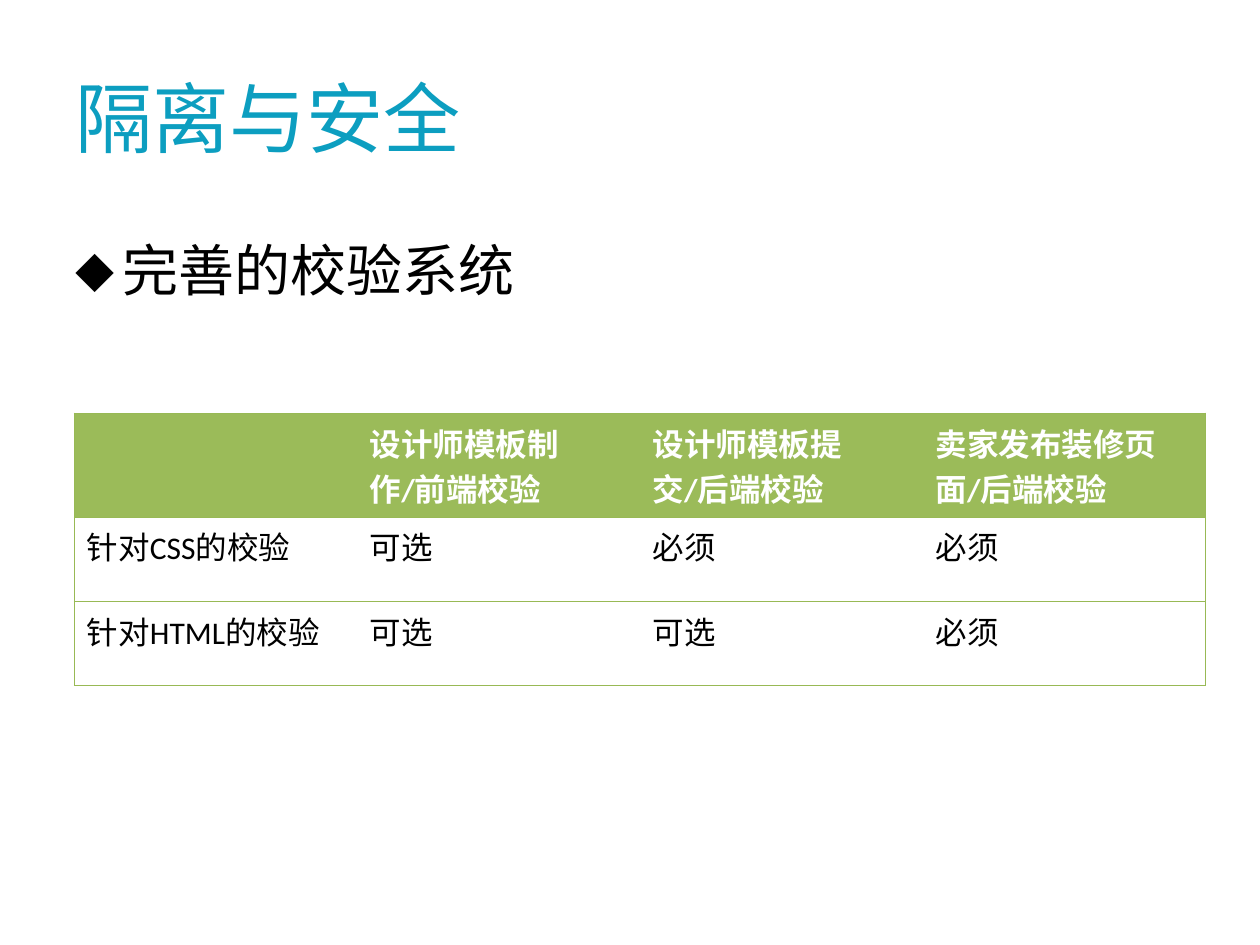
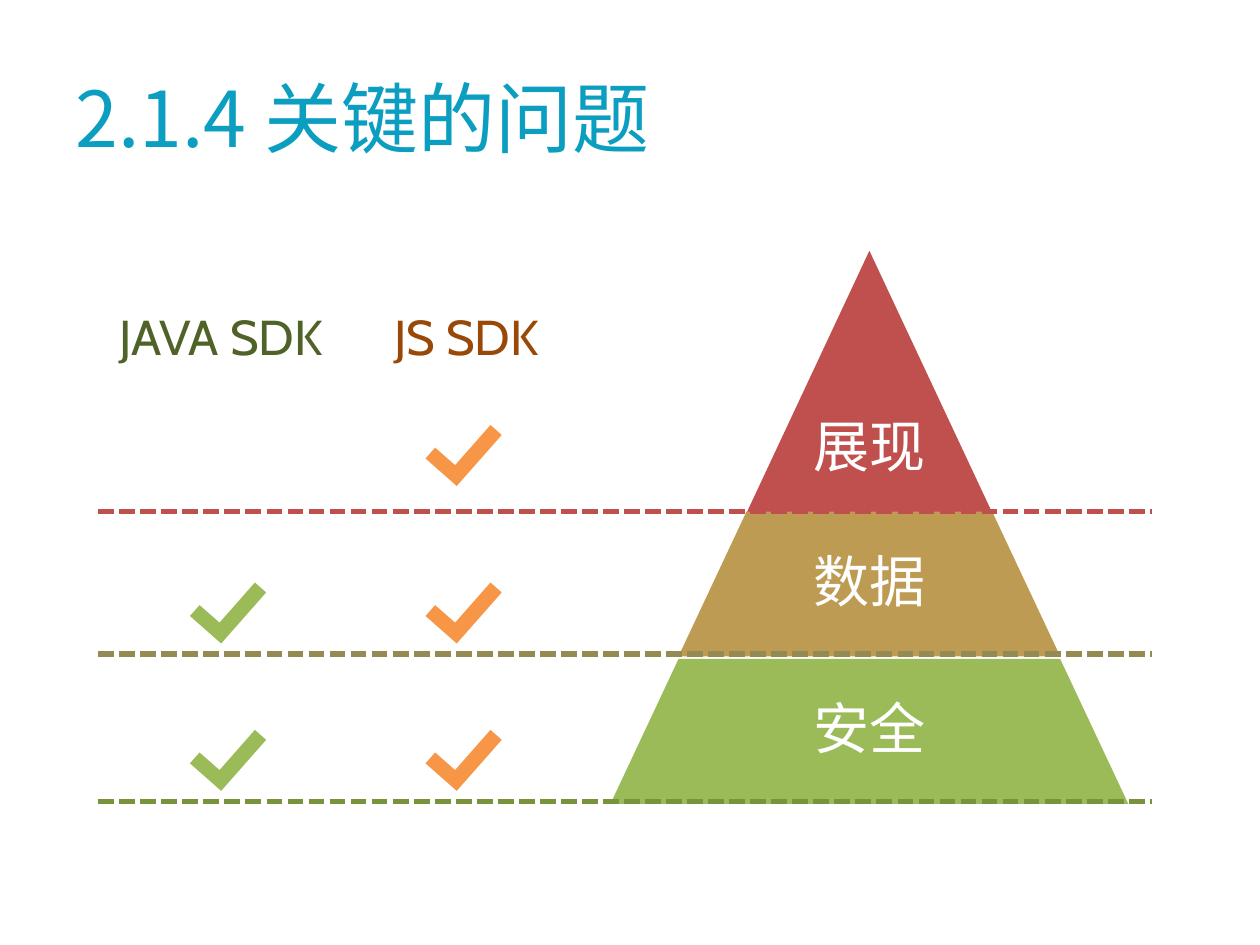
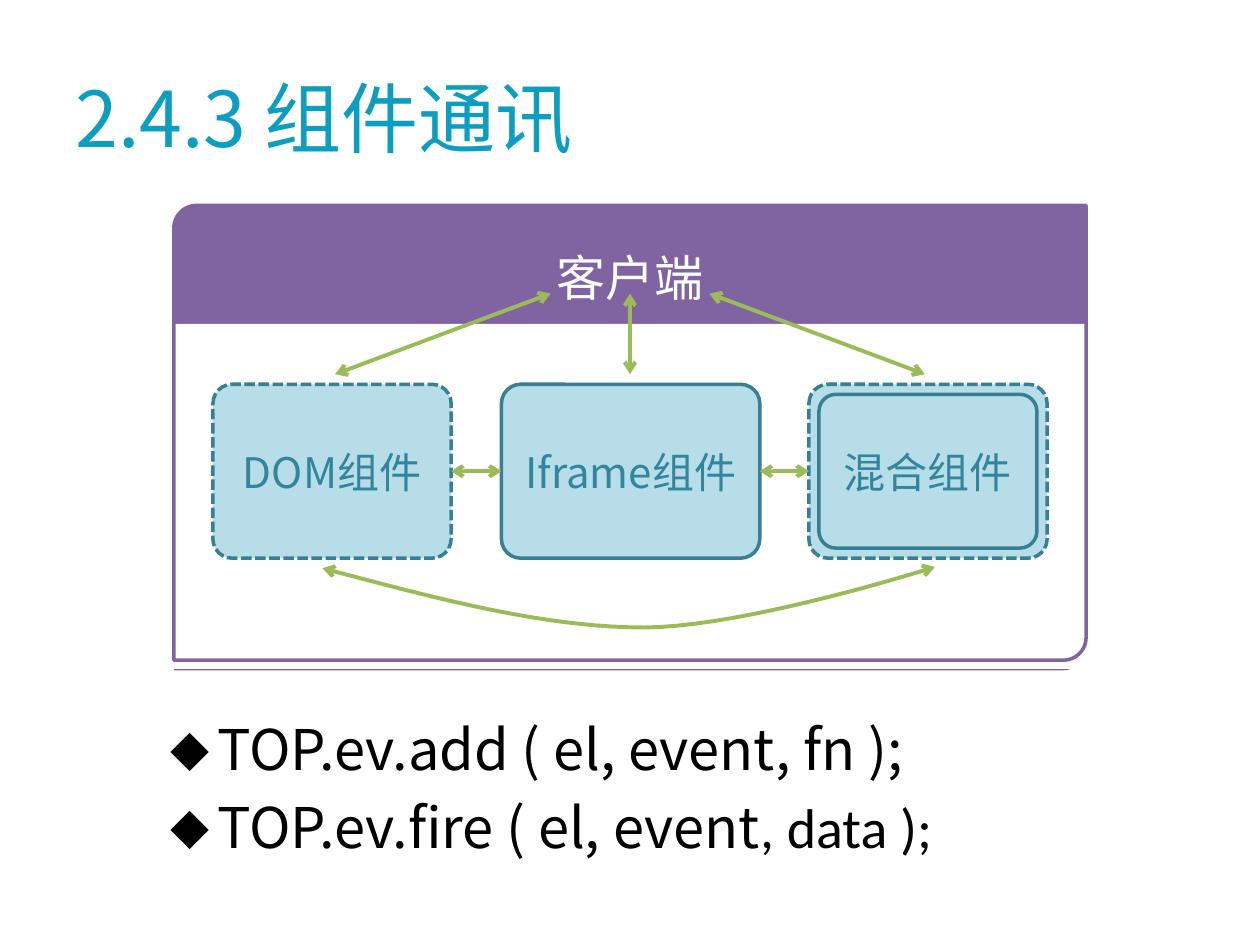
import pptx
import pptx.dml.color
import pptx.enum.dml
import pptx.enum.shapes
import pptx.enum.text
import pptx.oxml
import pptx.oxml.ns
import pptx.util

SLIDE_WIDTH = pptx.util.Inches(10)
SLIDE_HEIGHT = pptx.util.Inches(7.5)
COLUMNS, ROWS = 100, 75

CJK_FONT = "Noto Sans CJK SC"
LATIN_FONT = "Calibri"
LABEL_FONT = "Cabin"

TITLE_BLUE = "0C9EC0"
BLACK, WHITE = "000000", "FFFFFF"
GREEN, ORANGE, RED, SAND, PURPLE = "9BBB59", "F79646", "C0504D", "BD9B53", "8064A2"
TABLE_LINE = "98B955"
BOX_FILL, BOX_LINE, BOX_TEXT = "B7DEE8", "377F92", "31859C"

PLAIN_TABLE_STYLE = "{2D5ABB26-0587-4C30-8999-92F81FD0307C}"
SHAPES = pptx.enum.shapes.MSO_SHAPE
ALIGN = pptx.enum.text.PP_ALIGN
ANCHOR = pptx.enum.text.MSO_ANCHOR
DASH = pptx.enum.dml.MSO_LINE.SQUARE_DOT
qn = pptx.oxml.ns.qn


def col(count):
    return round(SLIDE_WIDTH * count / COLUMNS)


def row(count):
    return round(SLIDE_HEIGHT * count / ROWS)


def area(left, top, width, height):
    return col(left), row(top), col(width), row(height)


def rgb(value):
    return pptx.dml.color.RGBColor.from_string(value)


def element(tag, **attributes):
    node = pptx.oxml.parse_xml(f"<a:{tag} {pptx.oxml.ns.nsdecls('a')}/>")
    for key, value in attributes.items():
        node.set(key, value)
    return node


def write(paragraph, text, size=32, color=BLACK, font=CJK_FONT, bold=False,
          align=ALIGN.LEFT, spacing=None):
    paragraph.alignment = align
    if spacing:
        paragraph.line_spacing = spacing
    run = paragraph.add_run()
    run.text = text
    run.font.size = pptx.util.Pt(size)
    run.font.bold = bold
    run.font.name = font
    run.font.color.rgb = rgb(color)
    latin = run.font._element.find(qn("a:latin"))
    latin.addnext(element("ea", typeface=CJK_FONT))


def start_slide(deck, layout, title):
    slide = deck.slides.add_slide(deck.slide_layouts[layout])
    heading = slide.shapes.title
    heading.left, heading.top, heading.width, heading.height = area(5, 3, 90, 12.5)
    heading.text_frame.vertical_anchor = ANCHOR.MIDDLE
    write(heading.text_frame.paragraphs[0], title, size=44, color=TITLE_BLUE)
    return slide


def add_bullets(slide, place, items, spacing=None, wrap=True):
    body = slide.placeholders[1]
    body.left, body.top, body.width, body.height = area(*place)
    frame = body.text_frame
    frame.word_wrap = wrap
    frame.auto_size = pptx.enum.text.MSO_AUTO_SIZE.NONE
    for index, pieces in enumerate(items):
        paragraph = frame.add_paragraph() if index else frame.paragraphs[0]
        for text, font in pieces:
            write(paragraph, text, font=font, spacing=spacing)
        paragraph._p.get_or_add_pPr().append(element("buChar", char="⬥"))


def add_text(slide, place, text, anchor=ANCHOR.TOP, **style):
    frame = slide.shapes.add_textbox(*area(*place)).text_frame
    frame.word_wrap = False
    frame.vertical_anchor = anchor
    write(frame.paragraphs[0], text, **style)


def style_line(line, color, width, dashed=False, arrows=False):
    line.color.rgb = rgb(color)
    line.width = pptx.util.Pt(width)
    if dashed:
        line.dash_style = DASH
    if arrows:
        for end in ("headEnd", "tailEnd"):
            line._get_or_add_ln().append(element(end, type="arrow"))


def add_block(slide, kind, place, fill=None, line=None, dashed=False,
              adjust=(), turn=0):
    block = slide.shapes.add_shape(kind, *area(*place))
    block.shadow.inherit = False
    block.rotation = turn
    for index, value in enumerate(adjust):
        block.adjustments[index] = value
    if fill:
        block.fill.solid()
        block.fill.fore_color.rgb = rgb(fill)
    else:
        block.fill.background()
    if line:
        style_line(block.line, line, 2, dashed)
    else:
        block.line.fill.background()
    return block


def label_block(block, text, size, color, anchor=ANCHOR.MIDDLE, spacing=None):
    frame = block.text_frame
    frame.word_wrap = False
    frame.vertical_anchor = anchor
    write(frame.paragraphs[0], text, size, color, align=ALIGN.CENTER, spacing=spacing)


def add_line(slide, start, end, color, width, **style):
    link = slide.shapes.add_connector(
        pptx.enum.shapes.MSO_CONNECTOR.STRAIGHT,
        col(start[0]), row(start[1]), col(end[0]), row(end[1]))
    link._element.spPr.append(element("effectLst"))
    style_line(link.line, color, width, **style)
    return link


def add_arrow(slide, start, end):
    return add_line(slide, start, end, GREEN, 2.25, arrows=True)


def bezier(p0, p1, p2, p3, steps=20):
    for step in range(1, steps + 1):
        t = step / steps
        u = 1 - t
        yield tuple(u**3 * a + 3 * u * u * t * b + 3 * u * t * t * c + t**3 * d
                    for a, b, c, d in zip(p0, p1, p2, p3))


def add_curved_arrow(slide, start, *curves):
    points, pen = [], start
    for curve in curves:
        points += bezier(pen, *curve)
        pen = curve[-1]
    builder = slide.shapes.build_freeform(col(start[0]), row(start[1]))
    builder.add_line_segments([(col(x), row(y)) for x, y in points], close=False)
    arc = builder.convert_to_shape()
    arc.shadow.inherit = False
    arc.fill.background()
    style_line(arc.line, GREEN, 2.25, arrows=True)


def border_cell(cell, sides):
    properties = cell._tc.get_or_add_tcPr()
    for index, side in enumerate(side for side in "LRTB" if side in sides):
        edge = element(f"ln{side}", w=str(pptx.util.Pt(0.75)))
        fill = element("solidFill")
        fill.append(element("srgbClr", val=TABLE_LINE))
        edge.append(fill)
        properties.insert(index, edge)


def add_check_table(slide, place, row_heights, records):
    last = len(records[0]) - 1
    table = slide.shapes.add_table(len(records), last + 1, *area(*place)).table
    table._tbl.tblPr.find(qn("a:tableStyleId")).text = PLAIN_TABLE_STYLE
    for r, record in enumerate(records):
        table.rows[r].height = row(row_heights[r])
        for c, text in enumerate(record):
            cell = table.cell(r, c)
            header = r == 0
            if header:
                cell.fill.solid()
                cell.fill.fore_color.rgb = rgb(GREEN)
            else:
                cell.fill.background()
            if text:
                write(cell.text_frame.paragraphs[0], text, size=18, font=LATIN_FONT,
                      color=WHITE if header else BLACK, bold=header)
            sides = "T" if header else "TB"
            sides += "L" if c == 0 else ""
            sides += "R" if c == last else ""
            border_cell(cell, sides)


def build_validation(deck):
    slide = start_slide(deck, 1, "隔离与安全")
    add_bullets(slide, (5, 15.5, 90, 54.6), [[("完善的校验系统", CJK_FONT)]], spacing=1.5)
    add_check_table(slide, (5.9, 32.8, 89.8, 20.5), (7.1, 6.7, 6.7), [
        ("", "设计师模板制作/前端校验", "设计师模板提交/后端校验", "卖家发布装修页面/后端校验"),
        ("针对CSS的校验", "可选", "必须", "必须"),
        ("针对HTML的校验", "可选", "可选", "必须"),
    ])


def build_key_issues(deck):
    slide = start_slide(deck, 5, "2.1.4 关键的问题")
    java, js = (15.4, GREEN), (34.1, ORANGE)
    for check_top, sdks in ((33.8, [js]), (46.3, [java, js]), (58, [java, js])):
        for left, color in sdks:
            add_block(slide, SHAPES.CORNER, (left, check_top, 5.4, 3.3), fill=color,
                      adjust=(0.36, 0.35), turn=311.4)
    add_text(slide, (8.5, 23.8, 18.9, 5.7), "JAVA SDK", size=28, color="4F6228",
             font=LABEL_FONT)
    add_text(slide, (30.3, 23.8, 14.2, 5.7), "JS SDK", size=28, color="984807",
             font=LABEL_FONT)

    center = 69
    tiers = (
        ("展现", 19.9, 19.5, 20.8, 0.52, RED, 10),
        ("数据", 40.6, 30.3, 11.5, 0.47, SAND, 11.5),
        ("安全", 52.3, 41.1, 11.5, 0.47, GREEN, 11.5),
    )
    for text, top, width, height, slope, color, label_height in tiers:
        add_block(slide, SHAPES.TRAPEZOID, (center - width / 2, top, width, height),
                  fill=color, adjust=(slope,))
        label_top = top + height - label_height
        add_text(slide, (center - 9.8, label_top, 19.6, label_height), text,
                 color=WHITE, align=ALIGN.CENTER, anchor=ANCHOR.MIDDLE, spacing=0.9)
    for level, color in ((40.6, RED), (51.9, "948A54"), (63.6, "77933C")):
        add_line(slide, (7.8, level), (91.4, level), color, 3, dashed=True)


def build_messaging(deck):
    slide = start_slide(deck, 1, "2.4.3 组件通讯")
    corners = (0.05, 0)
    client = add_block(slide, SHAPES.ROUND_2_DIAG_RECTANGLE, (13.8, 16.3, 72.4, 36.9),
                       fill=PURPLE, adjust=corners)
    label_block(client, "客户端", 28, WHITE, anchor=ANCHOR.TOP, spacing=1.5)
    add_block(slide, SHAPES.RECTANGLE, (10.6, 25.7, 78.7, 27.4), fill=WHITE)
    add_block(slide, SHAPES.ROUND_2_DIAG_RECTANGLE, (13.8, 16.3, 72.4, 36.1),
              line=PURPLE, adjust=corners)

    def component(left, width, dashed=False, inset=0):
        return add_block(slide, SHAPES.ROUNDED_RECTANGLE,
                         (left + inset, 30.5 + inset, width - 2 * inset, 13.8 - 2 * inset),
                         fill=BOX_FILL, line=BOX_LINE, dashed=dashed, adjust=(0.11,))

    dom = component(16.9, 18.9, dashed=True)
    iframe = component(39.8, 20.5)
    mixed = component(64.2, 18.9, dashed=True)
    mixed_core = component(64.2, 18.9, inset=0.8)
    for block, text in ((dom, "DOM组件"), (iframe, "Iframe组件"), (mixed_core, "混合组件")):
        label_block(block, text, 24, BOX_TEXT)

    for client_end, component_end in ((43.7, 26.6), (50, 50), (56.3, 73.4)):
        add_arrow(slide, (client_end, 23.3), (component_end, 29.7))
    for source, target in ((dom, iframe), (iframe, mixed)):
        link = add_arrow(slide, (0, 0), (1, 1))
        link.begin_connect(source, 3)
        link.end_connect(target, 1)
    add_curved_arrow(slide, (25.6, 45.1),
                     ((34.3, 47.4), (43, 49.8), (51.1, 49.8)),
                     ((59.2, 49.8), (74.2, 45), (74.2, 45)))

    add_bullets(slide, (12.5, 56.2, 63.5, 12.9), [
        [("TOP.ev.add ( el, event, fn );", CJK_FONT)],
        [("TOP.ev.fire ( el, event", CJK_FONT), (", data );", LATIN_FONT)],
    ], wrap=False)


def main():
    deck = pptx.Presentation()
    deck.slide_width, deck.slide_height = SLIDE_WIDTH, SLIDE_HEIGHT
    build_validation(deck)
    build_key_issues(deck)
    build_messaging(deck)
    deck.save("out.pptx")


if __name__ == "__main__":
    main()
